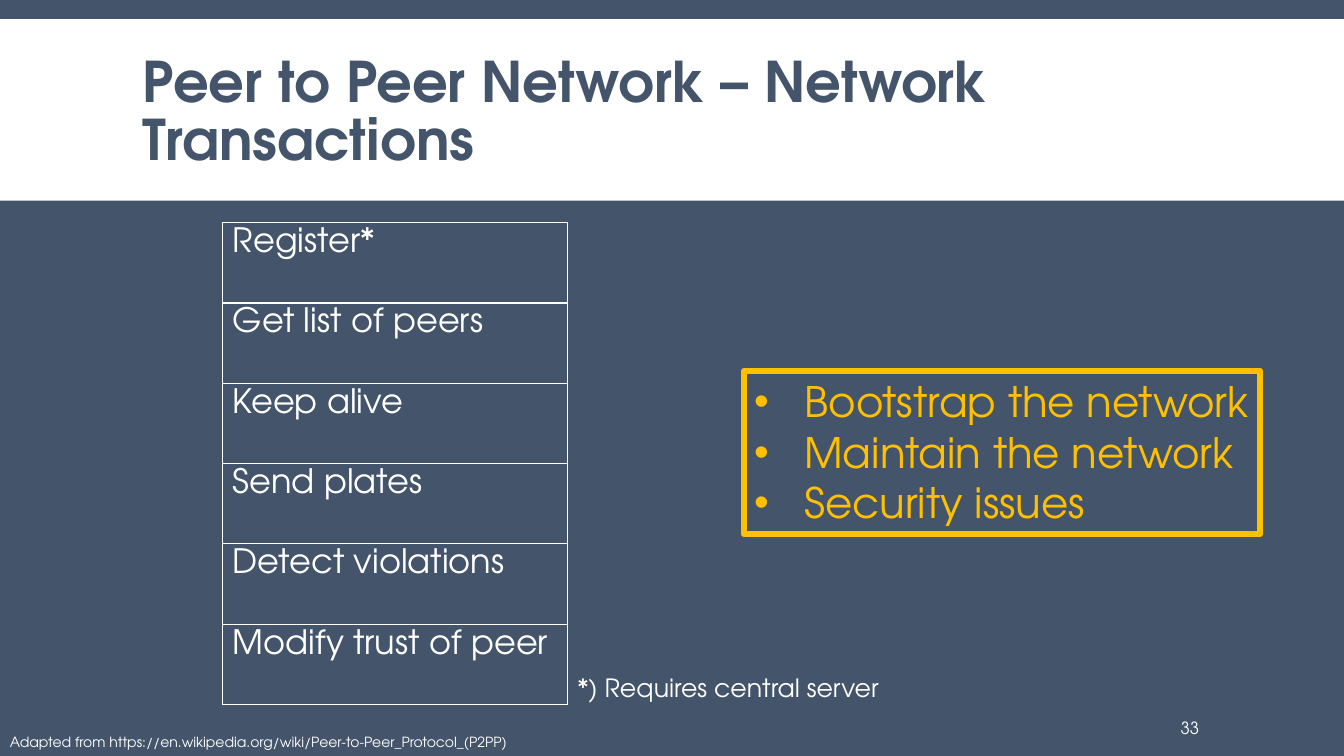
from dataclasses import dataclass, field

from lxml import etree
from pptx import Presentation
from pptx.dml.color import RGBColor
from pptx.enum.shapes import MSO_SHAPE
from pptx.enum.text import MSO_ANCHOR, MSO_AUTO_SIZE
from pptx.oxml.ns import qn
from pptx.shapes.autoshape import Shape
from pptx.slide import Slide
from pptx.table import _Cell
from pptx.text.text import _Paragraph
from pptx.util import Inches, Pt

SLATE = RGBColor(0x44, 0x54, 0x6A)
WHITE = RGBColor(0xFF, 0xFF, 0xFF)
GOLD = RGBColor(0xFF, 0xC0, 0x00)
FONT_NAME = "TeX Gyre Adventor"
RECTANGLE = MSO_SHAPE.RECTANGLE
TOP = MSO_ANCHOR.TOP
MIDDLE = MSO_ANCHOR.MIDDLE
GROW = MSO_AUTO_SIZE.SHAPE_TO_FIT_TEXT
FIXED = MSO_AUTO_SIZE.NONE

TRANSACTIONS = [
    "Register*",
    "Get list of peers",
    "Keep alive",
    "Send plates",
    "Detect violations",
    "Modify trust of peer",
]


@dataclass
class TextBlock:
    lines: list[str]
    left: float
    top: float
    width: float
    height: float
    size: int
    color: RGBColor = WHITE
    bold: bool = False
    bulleted: bool = False
    line_spacing: float = 1.0
    frame_format: dict = field(default_factory=dict)


TITLE = TextBlock(
    ["Peer to Peer Network – Network Transactions"],
    1.32, 0.31, 10.7, 1.65, 40, SLATE, bold=True, line_spacing=0.85,
    frame_format={"vertical_anchor": MIDDLE, "auto_size": FIXED},
)
ISSUES = TextBlock(
    ["Bootstrap the network", "Maintain the network", "Security issues"],
    7.38, 3.68, 5.12, 1.62, 30, GOLD, bulleted=True,
)
PAGE_NUMBER = TextBlock(
    ["33"], 11.66, 7.02, 1.03, 0.4, 12,
    frame_format={"vertical_anchor": MIDDLE, "auto_size": FIXED,
                  "margin_left": Inches(0.05)},
)
CITATION = TextBlock(
    ["Adapted from https://en.wikipedia.org/wiki/Peer-to-Peer_Protocol_(P2PP)"],
    0, 7.23, 13.33, 0.27, 10,
)
FOOTNOTE = TextBlock(["*) Requires central server"], 5.63, 6.62, 3.32, 0.4, 18)


def format_font(paragraph: _Paragraph, size: int, color: RGBColor,
                bold: bool = False) -> None:
    values = {"name": FONT_NAME, "size": Pt(size), "bold": bold}
    for run in paragraph.runs:
        for name, value in values.items():
            setattr(run.font, name, value)
        run.font.color.rgb = color


def add_bullet(paragraph: _Paragraph) -> None:
    properties = paragraph._p.get_or_add_pPr()
    properties.set("marL", str(Inches(0.5)))
    properties.set("indent", str(Inches(-0.5)))
    etree.SubElement(properties, qn("a:buFont"), typeface="Arial")
    etree.SubElement(properties, qn("a:buChar"), char="•")


def add_text(slide: Slide, block: TextBlock) -> Shape:
    shape = slide.shapes.add_textbox(
        Inches(block.left), Inches(block.top),
        Inches(block.width), Inches(block.height),
    )
    frame = shape.text_frame
    values = {"word_wrap": True, "auto_size": GROW, "vertical_anchor": TOP}
    for name, value in (values | block.frame_format).items():
        setattr(frame, name, value)
    frame.text = "\n".join(block.lines)
    for paragraph in frame.paragraphs:
        paragraph.line_spacing = block.line_spacing
        if block.bulleted:
            add_bullet(paragraph)
        format_font(paragraph, block.size, block.color, block.bold)
    return shape


def add_title_band(slide: Slide) -> None:
    band = slide.shapes.add_shape(
        RECTANGLE, 0, Inches(0.19), Inches(13.33), Inches(1.8)
    )
    band.shadow.inherit = False
    band.fill.solid()
    band.fill.fore_color.rgb = WHITE
    band.line.fill.background()


def add_borders(cell: _Cell) -> None:
    properties = cell._tc.get_or_add_tcPr()
    for position, side in enumerate(("lnL", "lnR", "lnT", "lnB")):
        border = etree.Element(qn(f"a:{side}"), w=str(Pt(1)))
        fill = etree.SubElement(border, qn("a:solidFill"))
        etree.SubElement(fill, qn("a:srgbClr"), val=str(WHITE))
        properties.insert(position, border)


def add_transaction_table(slide: Slide) -> None:
    table = slide.shapes.add_table(
        len(TRANSACTIONS), 1,
        Inches(2.21), Inches(2.21), Inches(3.42), Inches(4.78),
    ).table
    table.first_row = False
    table.horz_banding = False
    for row, transaction in enumerate(TRANSACTIONS):
        cell = table.cell(row, 0)
        cell.text = transaction
        cell.fill.background()
        add_borders(cell)
        format_font(cell.text_frame.paragraphs[0], 24, WHITE)


def main() -> None:
    presentation = Presentation()
    presentation.slide_width = Inches(13.33)
    presentation.slide_height = Inches(7.5)
    slide = presentation.slides.add_slide(presentation.slide_layouts[6])
    slide.background.fill.solid()
    slide.background.fill.fore_color.rgb = SLATE

    add_title_band(slide)
    add_text(slide, TITLE)
    issues_box = add_text(slide, ISSUES)
    issues_box.line.color.rgb = GOLD
    issues_box.line.width = Pt(4.5)
    add_text(slide, PAGE_NUMBER)
    add_text(slide, CITATION)
    add_transaction_table(slide)
    add_text(slide, FOOTNOTE)
    presentation.save("out.pptx")


if __name__ == "__main__":
    main()
